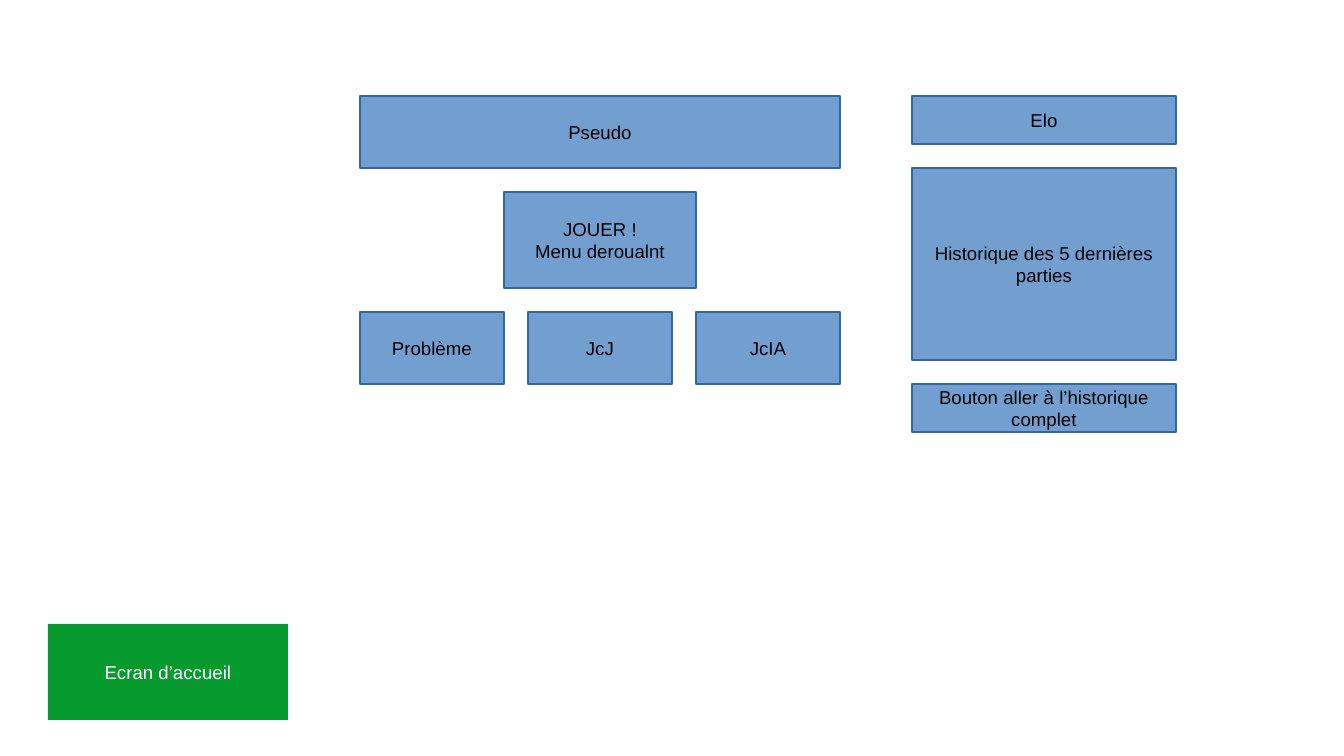
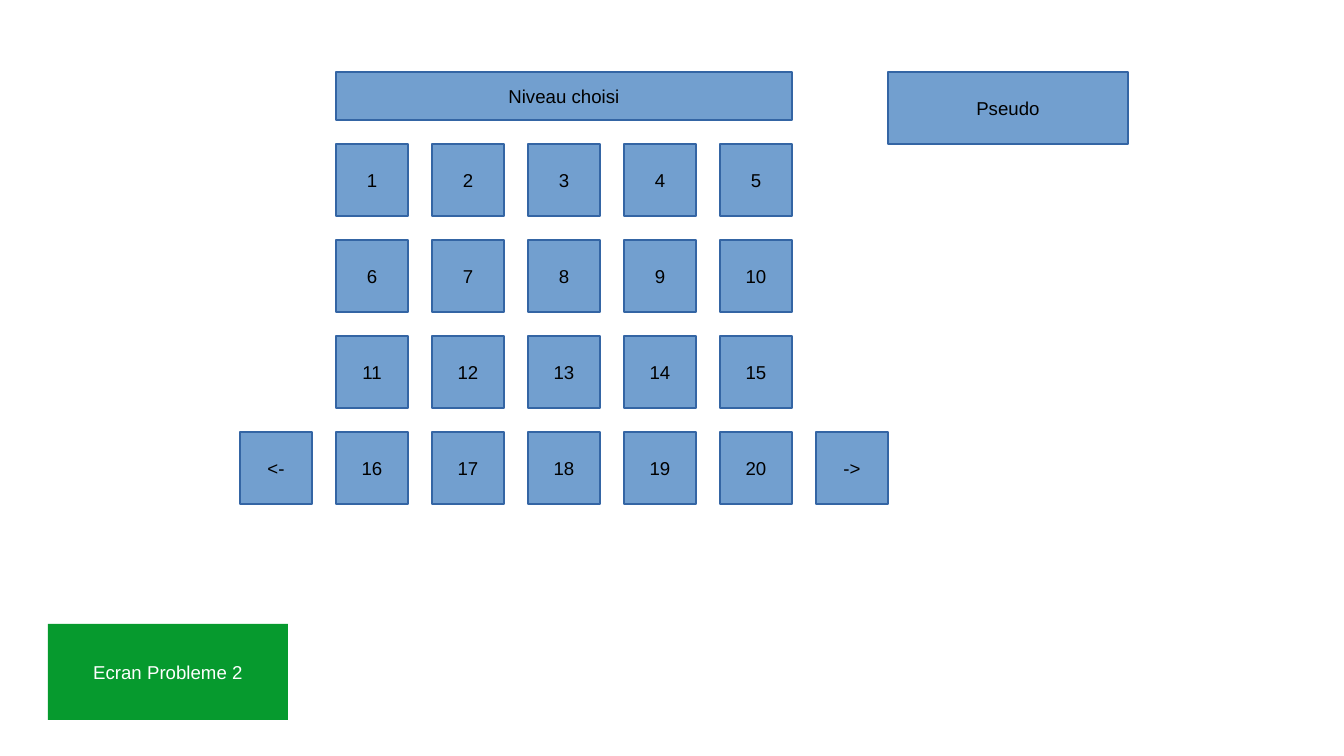
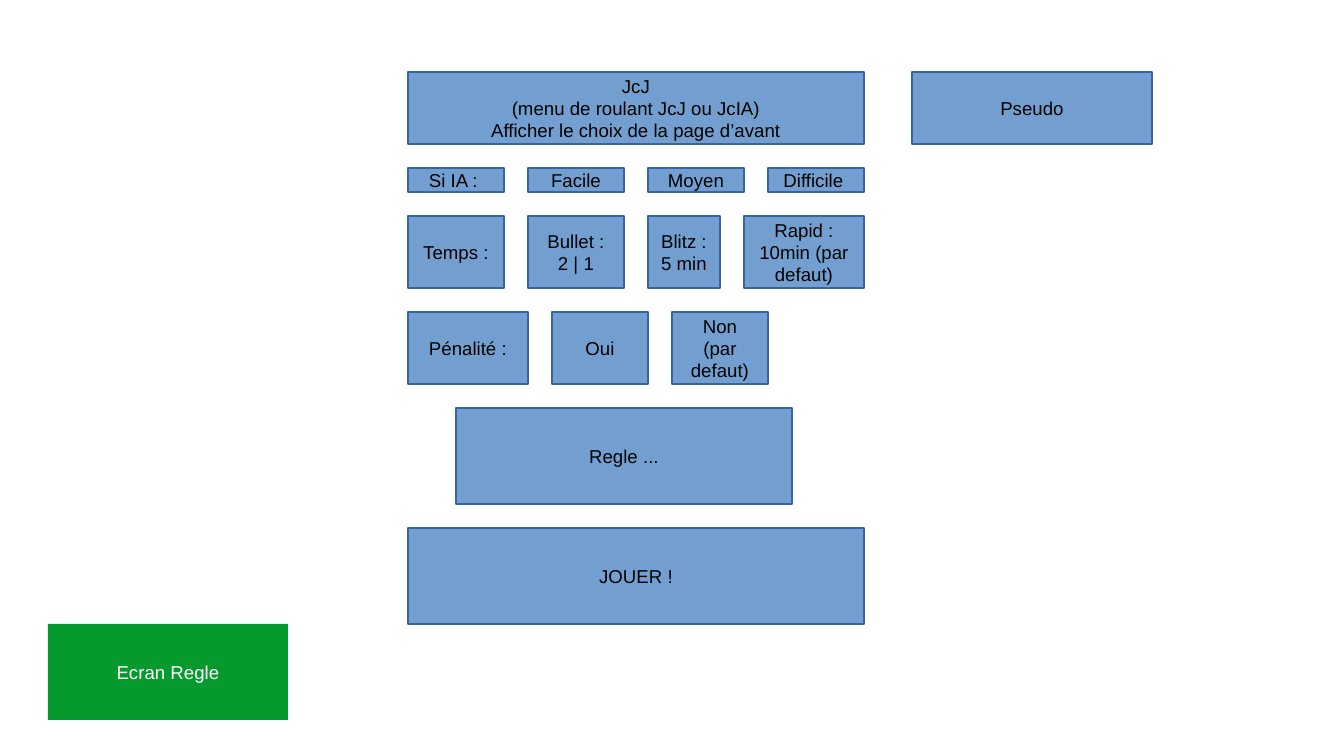
from dataclasses import dataclass

from pptx import Presentation
from pptx.dml.color import RGBColor
from pptx.enum.shapes import MSO_SHAPE
from pptx.enum.text import MSO_ANCHOR, PP_ALIGN
from pptx.util import Cm, Pt

RECTANGLE = MSO_SHAPE.RECTANGLE
MIDDLE = MSO_ANCHOR.MIDDLE
CENTER = PP_ALIGN.CENTER

CELL = Cm(0.5)
COLUMNS, ROWS = 56, 31.5
GAP = 1
BLANK_LAYOUT = 6


@dataclass(frozen=True)
class Theme:
    font: str = "Arial"
    size: int = 11
    box_fill: str = "729FCF"
    box_line: str = "3465A4"
    box_text: str = "000000"
    label_fill: str = "069A2E"
    label_text: str = "FFFFFF"


class Wireframe:
    """Draws screen mock-ups; all lengths are in grid cells."""

    def __init__(self, theme):
        self.theme = theme
        self.deck = Presentation()
        self.deck.slide_width = int(COLUMNS * CELL)
        self.deck.slide_height = int(ROWS * CELL)
        self.page = None

    def screen(self, name):
        """Start a slide and mark it with its green name label."""
        layout = self.deck.slide_layouts[BLANK_LAYOUT]
        self.page = self.deck.slides.add_slide(layout)
        theme = self.theme
        self.rectangle(name, 2, 26, 10, 4, theme.label_fill, theme.label_text)

    def box(self, text, left, top, width, height):
        theme = self.theme
        box = self.rectangle(text, left, top, width, height,
                             theme.box_fill, theme.box_text)
        box.line.color.rgb = RGBColor.from_string(theme.box_line)
        box.line.width = Pt(0)

    def row(self, left, top, height, items):
        """Place (text, width) boxes side by side, one gap apart."""
        for text, width in items:
            self.box(text, left, top, width, height)
            left += width + GAP

    def rectangle(self, text, left, top, width, height, fill, color):
        """Add an unlined rectangle; each line of text is a paragraph."""
        lengths = [int(cells * CELL) for cells in (left, top, width, height)]
        shape = self.page.shapes.add_shape(RECTANGLE, *lengths)
        shape.shadow.inherit = False
        shape.fill.solid()
        shape.fill.fore_color.rgb = RGBColor.from_string(fill)
        shape.line.fill.background()
        frame = shape.text_frame
        frame.word_wrap = True
        frame.vertical_anchor = MIDDLE
        for index, line in enumerate(text.split("\n")):
            para = frame.add_paragraph() if index else frame.paragraphs[0]
            para.alignment = CENTER
            span = para.add_run()
            span.text = line
            span.font.name = self.theme.font
            span.font.size = Pt(self.theme.size)
            span.font.color.rgb = RGBColor.from_string(color)
        return shape


def home_screen(wireframe):
    wireframe.screen("Ecran d’accueil")
    wireframe.box("Pseudo", 15, 4, 20, 3)
    wireframe.box("JOUER !\nMenu deroualnt", 21, 8, 8, 4)
    wireframe.row(15, 13, 3, [("Problème", 6), ("JcJ", 6), ("JcIA", 6)])
    wireframe.box("Elo", 38, 4, 11, 2)
    wireframe.box("Historique des 5 dernières parties", 38, 7, 11, 8)
    wireframe.box("Bouton aller à l’historique complet", 38, 16, 11, 2)


def problem_screen(wireframe):
    levels_per_row, level_rows, side = 5, 4, 3
    left, top, pitch = 14, 6, side + GAP
    wireframe.screen("Ecran Probleme 2")
    wireframe.box("Niveau choisi", left, 3, levels_per_row * pitch - GAP, 2)
    wireframe.box("Pseudo", 37, 3, 10, 3)
    for index in range(level_rows):
        first = index * levels_per_row + 1
        levels = range(first, first + levels_per_row)
        wireframe.row(left, top + index * pitch, side,
                      [(str(level), side) for level in levels])
    last_top = top + (level_rows - 1) * pitch
    wireframe.box("<-", left - pitch, last_top, side, side)
    wireframe.box("->", left + levels_per_row * pitch, last_top, side, side)


def rules_screen(wireframe):
    left, width = 17, 19
    wireframe.screen("Ecran Regle")
    wireframe.box("JcJ\n(menu de roulant JcJ ou JcIA)\n"
                  "Afficher le choix de la page d’avant", left, 3, width, 3)
    wireframe.box("Pseudo", 38, 3, 10, 3)
    wireframe.row(left, 7, 1, [("Si IA : ", 4), ("Facile", 4),
                               ("Moyen", 4), ("Difficile ", 4)])
    wireframe.row(left, 9, 3, [("Temps :", 4), ("Bullet : 2 | 1", 4),
                               ("Blitz :\n5 min", 3),
                               ("Rapid :\n10min (par defaut)", 5)])
    wireframe.row(left, 13, 3, [("Pénalité :", 5), ("Oui", 4),
                                ("Non (par defaut)", 4)])
    wireframe.box("Regle ...", 19, 17, 14, 4)
    wireframe.box("JOUER !", left, 22, width, 4)


def main():
    wireframe = Wireframe(Theme())
    home_screen(wireframe)
    problem_screen(wireframe)
    rules_screen(wireframe)
    wireframe.deck.save("out.pptx")


if __name__ == "__main__":
    main()
